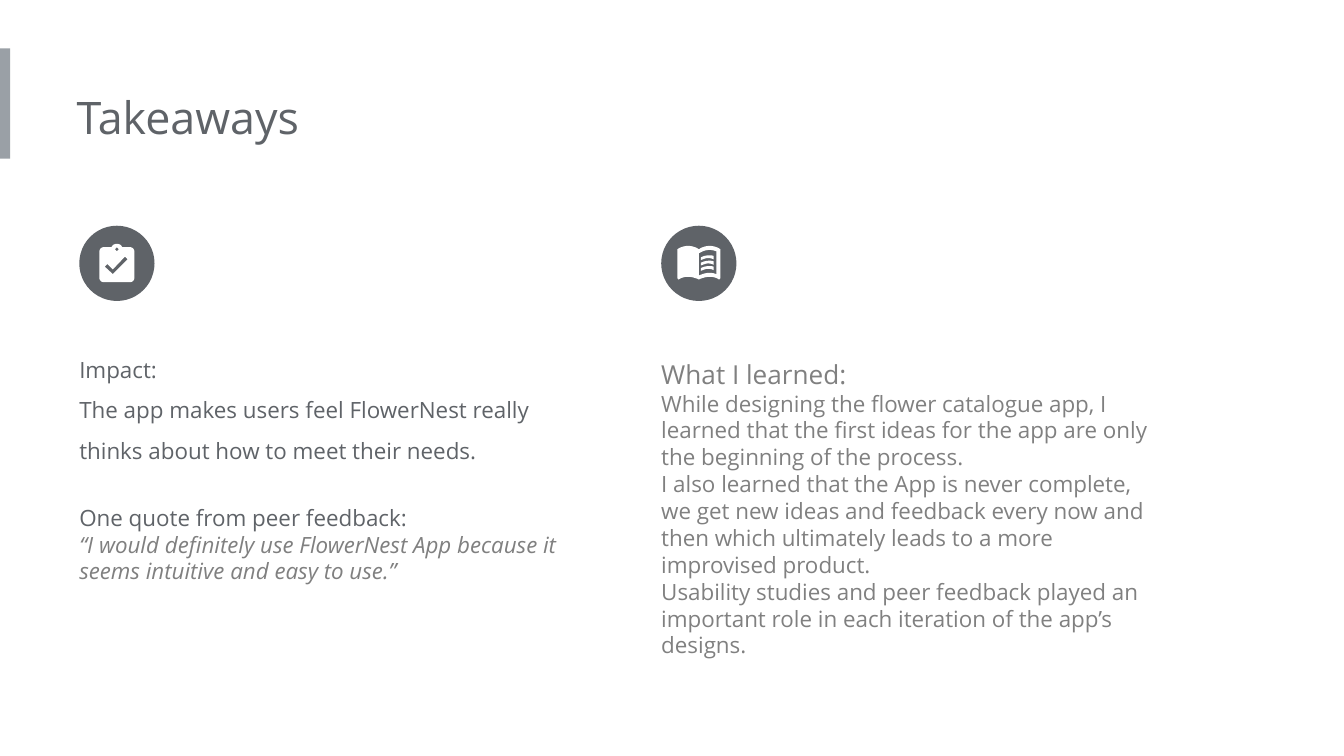
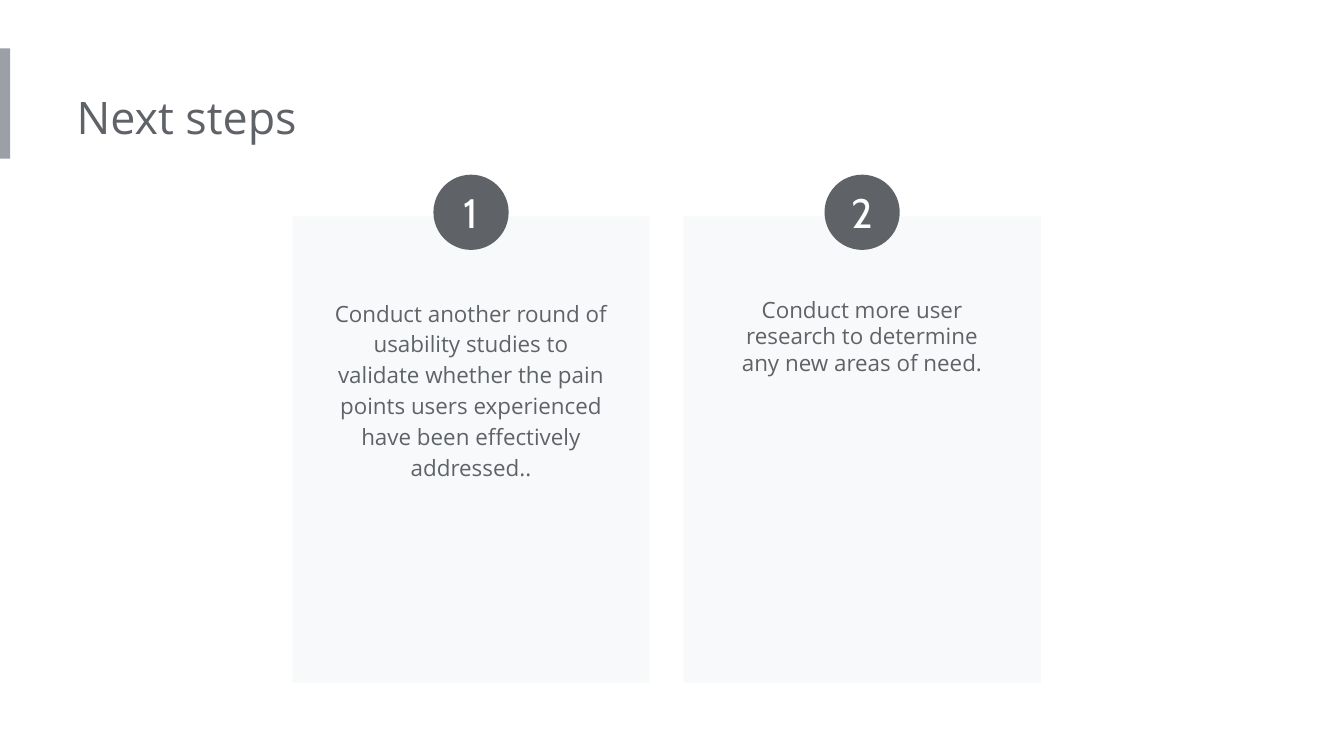
from pptx import Presentation
from pptx.dml.color import RGBColor
from pptx.enum.shapes import MSO_SHAPE
from pptx.enum.text import MSO_ANCHOR, PP_ALIGN
from pptx.util import Emu, Pt

# Shared scale, colours and fonts
PX = 4572  # 200 px to the inch
SLIDE_W, SLIDE_H = 2000, 1125
BADGE = 112
INSET = 20
CURVE_STEPS = 10

SLATE = RGBColor(0x5F, 0x63, 0x68)
GRAY = RGBColor(0x80, 0x80, 0x80)
ACCENT = RGBColor(0x9A, 0xA0, 0xA6)
PANEL = RGBColor(0xF8, 0xF9, 0xFA)
WHITE = RGBColor(0xFF, 0xFF, 0xFF)
BODY_FONT = "Open Sans"
NUMBER_FONT = "Cabin"

# Icon outlines: a start point, then segments of one point (line) or three (curve)
CLIPBOARD = [
    [(194, 368), [(182, 368)],
     [(181, 365), (178, 363), (174, 363)], [(170, 363), (167, 365), (166, 368)],
     [(154, 368)], [(151, 368), (148, 371), (148, 374)],
     [(148, 414)], [(148, 417), (151, 420), (154, 420)],
     [(194, 420)], [(197, 420), (200, 417), (200, 414)],
     [(200, 374)], [(200, 371), (197, 368), (194, 368)]],
    [(174, 368), [(177, 371)], [(174, 374)], [(171, 371)]],
    [(168, 408), [(156, 397)], [(160, 393)], [(168, 401)], [(186, 382)], [(190, 386)]],
]
BOOK = [
    [(1040, 371),
     [(1036, 368), (1030, 366), (1024, 366)], [(1018, 366), (1012, 368), (1008, 371)],
     [(1008, 414)], [(1010, 416)],
     [(1014, 413), (1019, 412), (1024, 412)], [(1030, 412), (1036, 414), (1040, 416)],
     [(1044, 414), (1050, 412), (1056, 412)], [(1061, 412), (1066, 413), (1070, 416)],
     [(1072, 414)], [(1072, 371)],
     [(1068, 368), (1062, 366), (1056, 366)], [(1050, 366), (1044, 368), (1040, 371)]],
    [(1040, 377),
     [(1045, 374), (1050, 372), (1056, 372)], [(1060, 372), (1063, 373), (1066, 374)],
     [(1066, 408)],
     [(1063, 407), (1060, 406), (1056, 406)], [(1050, 406), (1045, 408), (1040, 410)]],
]
BOOK_LINE = [
    [(1043, 383),
     [(1047, 381), (1051, 380), (1055, 380)], [(1058, 380), (1060, 380), (1062, 381)],
     [(1062, 386)],
     [(1060, 385), (1057, 384), (1054, 384)], [(1050, 384), (1046, 386), (1043, 387)]],
]


def px(length):
    return Emu(round(length * PX))


def paint(shape, color):
    shape.shadow.inherit = False
    shape.fill.solid()
    shape.fill.fore_color.rgb = color
    shape.line.fill.background()


def add_block(slide, kind, left, top, width, height, color):
    block = slide.shapes.add_shape(kind, px(left), px(top), px(width), px(height))
    paint(block, color)
    return block


def add_frame(slide, left, top, width, height, left_inset=0):
    frame = slide.shapes.add_textbox(px(left), px(top), px(width), px(height)).text_frame
    frame.word_wrap = True
    frame.margin_left = px(left_inset)
    frame.margin_right = frame.margin_top = frame.margin_bottom = px(INSET)
    return frame


def write(frame, text, size=12, color=SLATE, font=BODY_FONT, italic=False,
          align=PP_ALIGN.LEFT, spacing=1.0, before=0):
    """Fill the first paragraph if it is free, otherwise add one."""
    paragraph = frame.paragraphs[0]
    if paragraph.runs:
        paragraph = frame.add_paragraph()
    paragraph.alignment = align
    paragraph.line_spacing = spacing
    if before:
        paragraph.space_before = Pt(before)
    run = paragraph.add_run()
    run.text = text
    run.font.size = Pt(size)
    run.font.name = font
    run.font.italic = italic
    run.font.color.rgb = color


def add_badge(slide, left, top, number=None):
    badge = add_block(slide, MSO_SHAPE.OVAL, left, top, BADGE, BADGE, SLATE)
    if number:
        frame = badge.text_frame
        frame.margin_left = frame.margin_right = 0
        frame.margin_top = frame.margin_bottom = 0
        frame.vertical_anchor = MSO_ANCHOR.MIDDLE
        write(frame, number, size=22, color=WHITE, font=NUMBER_FONT,
              align=PP_ALIGN.CENTER)


def trace(contour):
    """Return the contour's points, with curves cut into short lines."""
    points = [contour[0]]
    for segment in contour[1:]:
        if len(segment) == 1:
            points += segment
            continue
        corners = [points[-1], *segment]
        for step in range(1, CURVE_STEPS + 1):
            t = step / CURVE_STEPS
            weights = ((1 - t) ** 3, 3 * t * (1 - t) ** 2, 3 * t * t * (1 - t), t ** 3)
            points.append(tuple(sum(w * corner[axis] for w, corner in zip(weights, corners))
                                for axis in (0, 1)))
    return points


def add_icon(slide, contours, down=0):
    outlines = [[(px(x), px(y + down)) for x, y in trace(contour)] for contour in contours]
    builder = slide.shapes.build_freeform(*outlines[0][0])
    for index, outline in enumerate(outlines):
        if index:
            builder.move_to(*outline[0])
        builder.add_line_segments(outline[1:], close=True)
    paint(builder.convert_to_shape(), WHITE)


def add_titled_slide(deck, title):
    slide = deck.slides.add_slide(deck.slide_layouts[6])
    add_block(slide, MSO_SHAPE.RECTANGLE, 0, 72, 15, 164, ACCENT)
    write(add_frame(slide, 114, 114, 1078, 122), title, size=24)
    return slide


def build_takeaways(deck):
    slide = add_titled_slide(deck, "Takeaways")

    # Impact and feedback
    impact = add_frame(slide, 118, 490, 754, 484)
    write(impact, "Impact:", spacing=1.5)
    write(impact, "The app makes users feel FlowerNest really thinks about how to meet "
          "their needs.", spacing=1.5)
    write(impact, "One quote from peer feedback:", before=21.5)
    write(impact, "“I would definitely use FlowerNest App because it seems intuitive "
          "and easy to use.”", color=GRAY, italic=True)
    add_badge(slide, 118, 336)
    add_icon(slide, CLIPBOARD)

    # Lessons
    lessons = add_frame(slide, 984, 490, 754, 514)
    write(lessons, "What I learned:", size=14, color=GRAY, spacing=1.5)
    for lesson in (
        "While designing the flower catalogue app, I learned that the first ideas for "
        "the app are only the beginning of the process.",
        "I also learned that the App is never complete, we get new ideas and feedback "
        "every now and then which ultimately leads to a more improvised product.",
        "Usability studies and peer feedback played an important role in each iteration "
        "of the app’s designs.",
    ):
        write(lessons, lesson, color=GRAY)
    add_badge(slide, 984, 336)
    add_icon(slide, BOOK)
    for down in (0, 8, 16):
        add_icon(slide, BOOK_LINE, down)


def build_next_steps(deck):
    slide = add_titled_slide(deck, "Next steps")
    card_left, card_w, card_step, text_w = 435, 532, 582, 448
    steps = (
        ("Conduct another round of usability studies to validate whether the pain points "
         "users experienced have been effectively addressed..", 1.15, 320),
        ("Conduct more user research to determine any new areas of need.", 1.0, 242),
    )
    for index, (step, spacing, text_h) in enumerate(steps):
        left = card_left + index * card_step
        add_block(slide, MSO_SHAPE.RECTANGLE, left, 322, card_w, 694, PANEL)
        frame = add_frame(slide, left + (card_w - text_w) // 2, 420, text_w, text_h, INSET)
        write(frame, step, align=PP_ALIGN.CENTER, spacing=spacing)
        add_badge(slide, left + (card_w - BADGE) // 2, 260, str(index + 1))


def main():
    deck = Presentation()
    deck.slide_width, deck.slide_height = px(SLIDE_W), px(SLIDE_H)
    build_takeaways(deck)
    build_next_steps(deck)
    deck.save("out.pptx")


if __name__ == "__main__":
    main()
